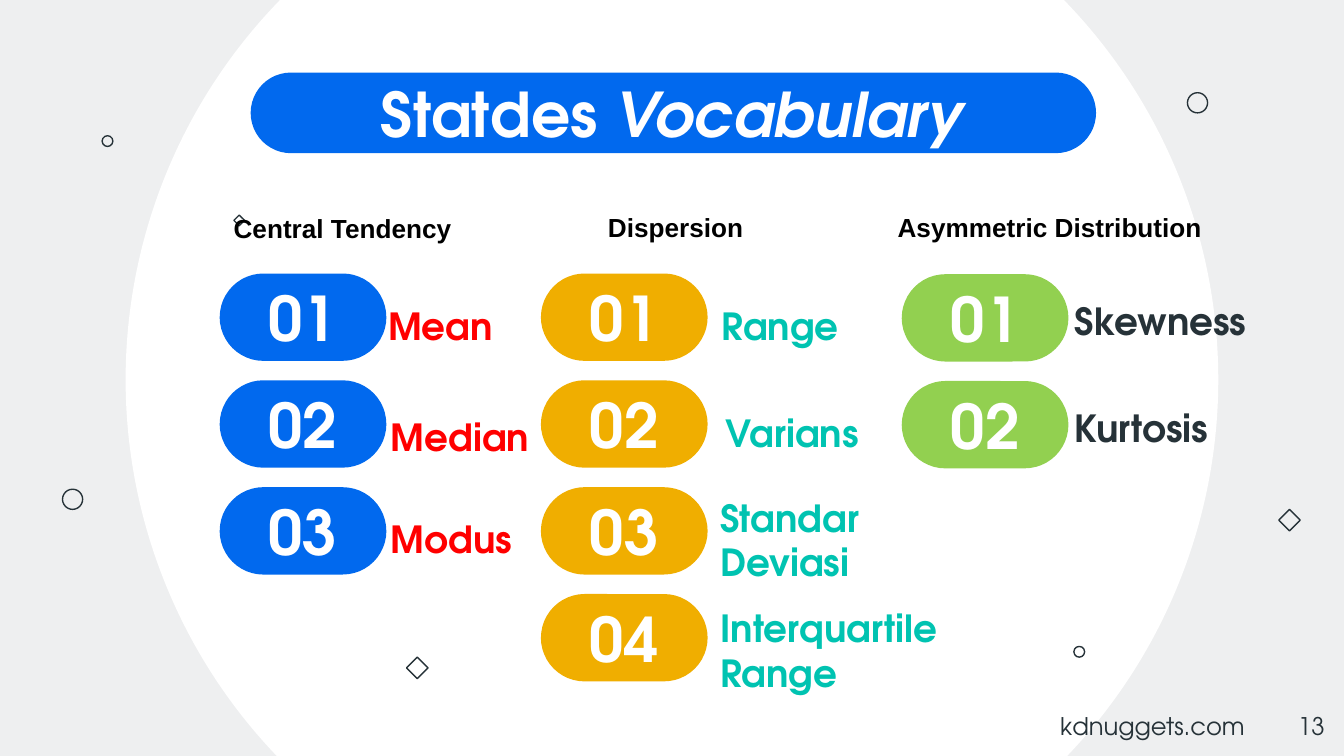
from pptx import Presentation
from pptx import util as u
from pptx.dml.color import RGBColor
from pptx.enum import shapes, text

SCALE = 4572
DISPLAY = "TeX Gyre Adventor"
BLUE, GOLD, GREEN = "0169EE", "F0AE00", "92D050"
RED, TEAL, INK, WHITE = "FF0000", "00C3B1", "263238", "FFFFFF"
OVAL = shapes.MSO_SHAPE.OVAL
DIAMOND = shapes.MSO_SHAPE.DIAMOND
PILL = shapes.MSO_SHAPE.ROUNDED_RECTANGLE
LEFT, CENTER, RIGHT = text.PP_ALIGN.LEFT, text.PP_ALIGN.CENTER, text.PP_ALIGN.RIGHT
MIDDLE, TOP = text.MSO_ANCHOR.MIDDLE, text.MSO_ANCHOR.TOP
ROW_STEP, PILL_WIDTH, PILL_HEIGHT = 159, 248, 130


def px(value):
    return u.Emu(value * SCALE)


def color(value):
    return RGBColor.from_string(value)


def add_shape(slide, kind, box, fill=None, line=None):
    shape = slide.shapes.add_shape(kind, *map(px, box))
    shape.shadow.inherit = False
    if fill:
        shape.fill.solid()
        shape.fill.fore_color.rgb = color(fill)
    else:
        shape.fill.background()
    if line:
        shape.line.color.rgb = color(line)
        shape.line.width = u.Pt(0.75)
    else:
        shape.line.fill.background()
    if kind == PILL:
        shape.adjustments[0] = 0.5
    return shape


def format_text(shape, size, ink, align=LEFT, bold=True, font=DISPLAY, anchor=MIDDLE, inset=20):
    frame = shape.text_frame
    frame.word_wrap = True
    frame.auto_size = text.MSO_AUTO_SIZE.NONE
    frame.vertical_anchor = anchor
    frame.margin_left = frame.margin_right = px(20)
    frame.margin_top = frame.margin_bottom = px(inset)
    for paragraph in frame.paragraphs:
        paragraph.alignment = align
        for run in paragraph.runs:
            run.font.name = font
            run.font.size = u.Pt(size)
            run.font.bold = bold
            run.font.color.rgb = color(ink)


def add_text(slide, box, words, size, ink, **style):
    shape = slide.shapes.add_textbox(*map(px, box))
    shape.text_frame.text = words
    format_text(shape, size, ink, **style)


def add_backdrop(slide):
    slide.background.fill.solid()
    slide.background.fill.fore_color.rgb = color("EEEFF0")
    add_shape(slide, OVAL, (187, -246, 1626, 1622), WHITE)
    ornaments = [
        (OVAL, 1598, 962, 16), (OVAL, 152, 202, 16), (OVAL, 93, 728, 30), (OVAL, 1767, 138, 30),
        (DIAMOND, 1903, 758, 32), (DIAMOND, 348, 320, 16), (DIAMOND, 605, 978, 32),
    ]
    for kind, left, top, side in ornaments:
        add_shape(slide, kind, (left, top, side, side), line=INK)


def add_title(slide, left, top, width, height):
    banner = add_shape(slide, PILL, (left, top, width, height), BLUE)
    title = slide.shapes.title
    banner.element.addnext(title.element)
    title.left, title.top = px(left + 131), px(top + 8)
    title.width, title.height = px(width - 266), px(height - 16)
    title.text_frame.text = "Statdes "
    emphasis = title.text_frame.paragraphs[0].add_run()
    emphasis.text = "Vocabulary"
    emphasis.font.italic = True
    format_text(title, 33, WHITE, CENTER)


def add_column(slide, left, top, heading, fill, ink, label_width, terms):
    words, dx, dy, width = heading
    add_text(slide, (left + dx, top + dy, width, 68), words, 14, "000000",
             font="Arial", anchor=TOP, inset=10)
    for row, (term, label_dx, label_dy) in enumerate(terms):
        row_top = top + row * ROW_STEP
        pill = add_shape(slide, PILL, (left, row_top, PILL_WIDTH, PILL_HEIGHT), fill)
        pill.text_frame.text = f"{row + 1:02}"
        format_text(pill, 33, WHITE, CENTER)
        add_text(slide, (left + label_dx, row_top + label_dy, label_width, 60), term, 20, ink)


def add_footer(slide, left, top):
    add_text(slide, (left, top + 12, 546, 60), "kdnuggets.com", 13, INK, bold=False)
    add_text(slide, (left + 313, top, 120, 86), "13", 13, INK,
             align=RIGHT, bold=False, anchor=TOP)


def main():
    presentation = Presentation()
    presentation.slide_width, presentation.slide_height = px(2000), px(1125)
    slide = presentation.slides.add_slide(presentation.slide_layouts.get_by_name("Title Only"))
    add_backdrop(slide)
    add_title(slide, 373, 108, 1258, 120)
    add_column(slide, 327, 407, ("Central Tendency", 1, -101, 368), BLUE, RED, 546,
               [("Mean", 231, 47), ("Median", 235, 54), ("Modus", 235, 46)])
    add_column(slide, 805, 407, ("Dispersion", 80, -102, 250), GOLD, TEAL, 364,
               [("Range", 249, 47), ("Varians", 255, 48),
                ("Standar Deviasi", 247, 48), ("Interquartile Range", 247, 53)])
    add_column(slide, 1342, 408, ("Asymmetric Distribution", -26, -103, 496), GREEN, INK, 546,
               [("Skewness", 238, 39), ("Kurtosis", 238, 39)])
    add_footer(slide, 1558, 1038)
    presentation.save("out.pptx")


if __name__ == "__main__":
    main()
